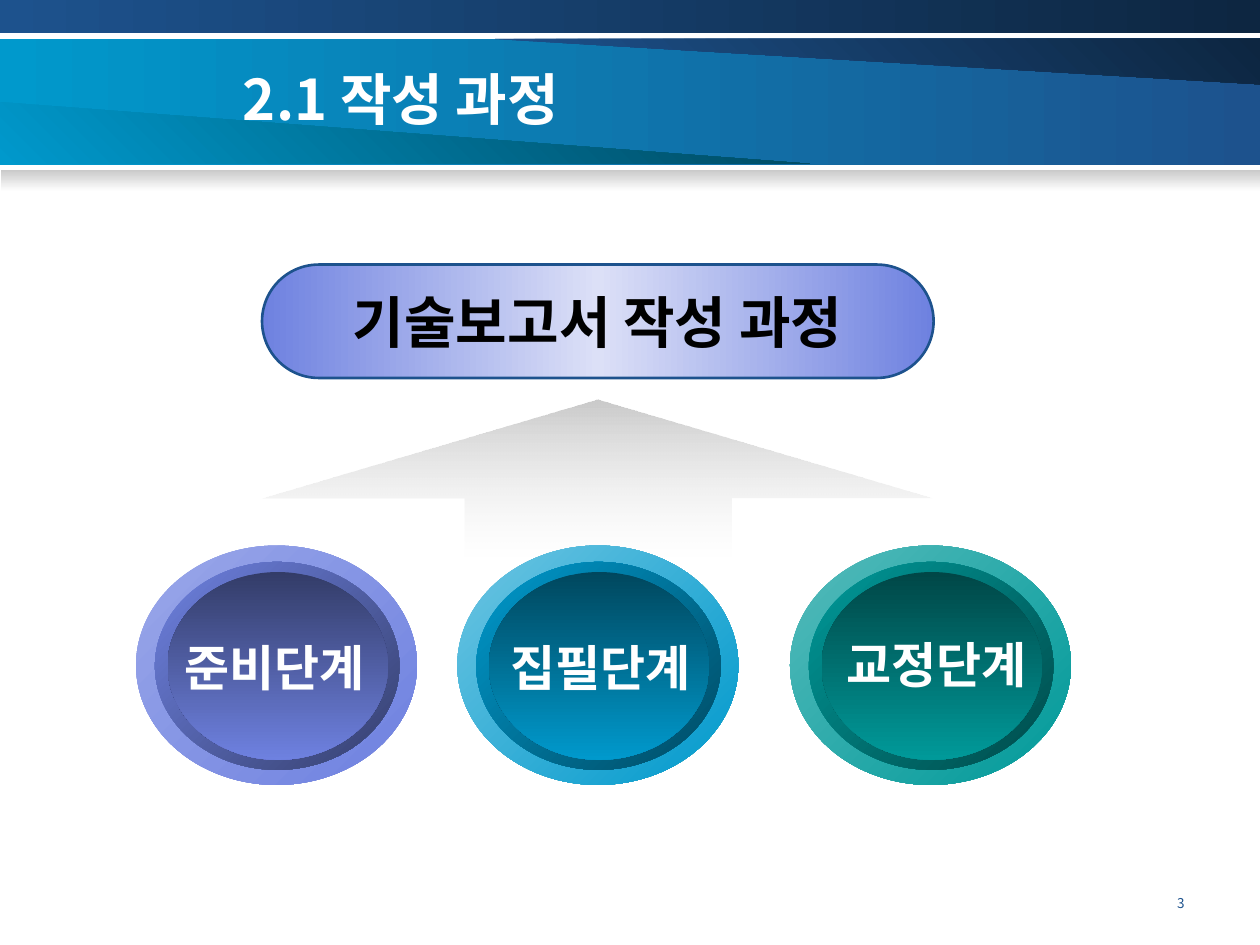
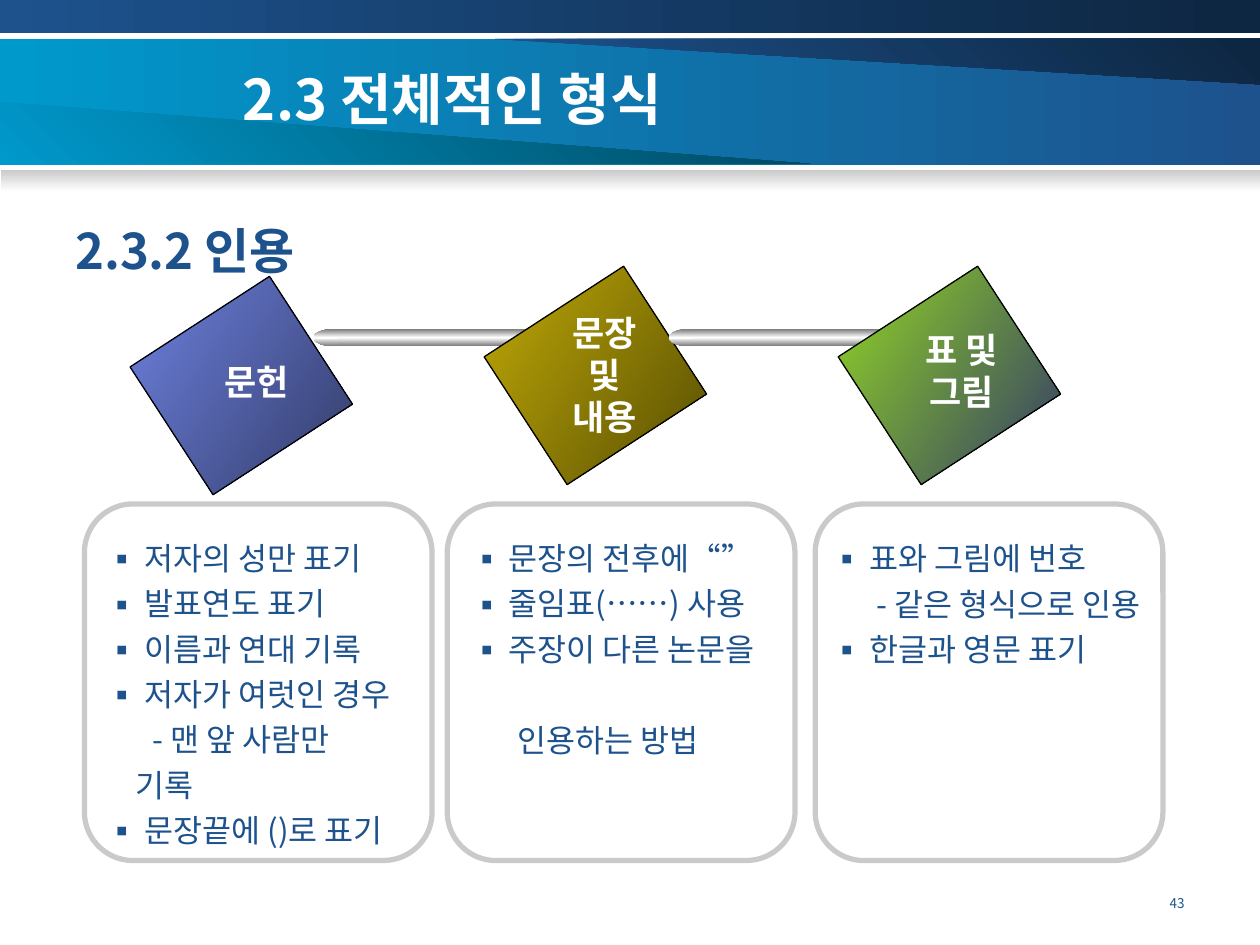
from dataclasses import dataclass
from typing import NamedTuple

from lxml.etree import SubElement as Sub
from pptx import Presentation
from pptx.dml.color import RGBColor as Rgb
from pptx.enum.shapes import MSO_SHAPE as Kind
from pptx.enum.text import MSO_ANCHOR as Anchor, PP_ALIGN as Align
from pptx.oxml.ns import qn
from pptx.util import Inches, Pt


@dataclass(frozen=True)
class Theme:
    face: str = "Noto Sans CJK KR"
    white: str = "FFFFFF"
    black: str = "000000"
    navy: str = "1D528D"
    night: str = "0D2641"
    sky: str = "0099CC"
    deep: str = "00475E"
    grey: str = "CACACA"
    pale: str = "EDEDED"
    steel: str = "767676"
    iris: str = "6E81E0"
    dusk: str = "333C68"
    mist: str = "DCE0F7"
    title: float = 32
    head: float = 28
    label: float = 20
    body: float = 18
    page: float = 7.7


T = Theme()


class Box(NamedTuple):
    x: float
    y: float
    w: float
    h: float

    def emu(self) -> list:
        return [Inches(v) for v in self]


class Fade(NamedTuple):
    """Evenly spaced colour stops and a clockwise angle."""
    stops: tuple
    angle: int
    clear: bool = False  # last stop fully transparent


class Style(NamedTuple):
    size: float
    color: str
    bold: bool = True
    align: Align = Align.LEFT
    space: float = 1.0


class Stage(NamedTuple):
    x: float
    light: str
    base: str
    dark: str
    deep: str
    text: str
    spot: Box


class Topic(NamedTuple):
    tile: Box
    fade: Fade
    label: str
    spot: Box
    card: float
    notes: Box
    items: tuple


class Item(NamedTuple):
    text: str
    sub: bool = False
    first: float = 0.0  # first-line indent of a sub item
    gap: float = 0.0


# Drawing helpers
def paint(shape, fade: Fade) -> None:
    shape.fill.gradient()
    grad = shape._element.spPr.find(qn("a:gradFill"))
    grad.set("rotWithShape", "0")
    stops = grad.find(qn("a:gsLst"))
    for old in list(stops):
        stops.remove(old)
    last = len(fade.stops) - 1
    for i, color in enumerate(fade.stops):
        stop = Sub(stops, qn("a:gs"), pos=str(100000 * i // last))
        tint = Sub(stop, qn("a:srgbClr"), val=color)
        if fade.clear and i == last:
            Sub(tint, qn("a:alpha"), val="0")
    grad.find(qn("a:lin")).set("ang", str(fade.angle * 60000))


def finish(shape, fade: Fade | None, edge: str = "", width: float = 0):
    shape.shadow.inherit = False
    if fade:
        paint(shape, fade)
    else:
        shape.fill.background()
    if edge:
        shape.line.color.rgb = Rgb.from_string(edge)
        shape.line.width = Pt(width)
    else:
        shape.line.fill.background()
    return shape


def block(slide, kind: Kind, box: Box, fade: Fade | None,
          edge: str = "", width: float = 0, adjust: tuple = ()):
    shape = slide.shapes.add_shape(kind, *box.emu())
    for i, value in enumerate(adjust):
        shape.adjustments[i] = value
    return finish(shape, fade, edge, width)


def wedge(slide, points: tuple, fade: Fade) -> None:
    start, *rest = [(Inches(x), Inches(y)) for x, y in points]
    pen = slide.shapes.build_freeform(*start)
    pen.add_line_segments(rest, close=True)
    finish(pen.convert_to_shape(), fade)


def write(par, text: str, style: Style) -> None:
    par.text = text
    form = {"alignment": style.align, "line_spacing": style.space}
    for key, value in form.items():
        setattr(par, key, value)
    look = {"size": Pt(style.size), "bold": style.bold, "name": T.face}
    for run in par.runs:
        for key, value in look.items():
            setattr(run.font, key, value)
        run.font.color.rgb = Rgb.from_string(style.color)
        latin = run._r.rPr.find(qn("a:latin"))
        east = Sub(run._r.rPr, qn("a:ea"), typeface=T.face)
        latin.addnext(east)


def fill_text(shape, lines: tuple, style: Style,
              anchor: Anchor = Anchor.TOP, wrap: bool = True) -> None:
    frame = shape.text_frame
    frame.word_wrap = wrap
    frame.vertical_anchor = anchor
    for i, line in enumerate(lines):
        par = frame.add_paragraph() if i else frame.paragraphs[0]
        write(par, line, style)


def note(slide, box: Box, text: str, style: Style,
         anchor: Anchor = Anchor.TOP, wrap: bool = True) -> None:
    shape = slide.shapes.add_textbox(*box.emu())
    fill_text(shape, tuple(text.split("\n")), style, anchor, wrap)


def bullets(slide, box: Box, items: tuple) -> None:
    frame = slide.shapes.add_textbox(*box.emu()).text_frame
    frame.word_wrap = True
    style = Style(T.body, T.navy, bold=False, space=1.2)
    for i, item in enumerate(items):
        par = frame.add_paragraph() if i else frame.paragraphs[0]
        props = par._p.get_or_add_pPr()
        left, first = (0.23, item.first) if item.sub else (0.3, -0.3)
        props.set("marL", str(Inches(left)))
        props.set("indent", str(Inches(first)))
        if item.sub:
            Sub(props, qn("a:buNone"))
        else:
            tint = Sub(props, qn("a:buClr"))
            Sub(tint, qn("a:srgbClr"), val=T.navy)
            Sub(props, qn("a:buFont"), typeface=T.face)
            Sub(props, qn("a:buChar"), char="▪")
        write(par, item.text, style)
        if item.gap:
            par.space_before = Pt(item.gap)


# Shared frame: bands, title and page number
def frame_slide(deck, title: str, page: str):
    slide = deck.slides.add_slide(deck.slide_layouts[6])
    night = (T.navy, T.night)
    block(slide, Kind.RECTANGLE, Box(0, 0.31, 10, 1), Fade((T.sky, T.navy), 0))
    wedge(slide, ((3.93, 0.31), (10, 0.67), (10, 0.31)), Fade(night, 315))
    wedge(slide, ((0, 0.81), (6.43, 1.3), (0, 1.3)),
          Fade((T.sky, T.deep), 315))
    block(slide, Kind.RECTANGLE, Box(0, 0, 10, 0.26), Fade(night, 0))
    block(slide, Kind.RECTANGLE, Box(0.01, 1.35, 9.99, 0.17),
          Fade((T.grey, T.white), 90))
    note(slide, Box(1.83, 0.3, 7.25, 0.95), title,
         Style(T.title, T.white), Anchor.MIDDLE)
    note(slide, Box(7.17, 7.08, 2.33, 0.27), page,
         Style(T.page, T.navy, False, Align.RIGHT, 0.8))
    return slide


# Writing process: three stages lead up to the report
STAGES = (
    Stage(3.63, "6DC5E2", T.sky, "004A63", T.deep, "집필단계",
          Box(3.89, 5.01, 1.76, 0.57)),
    Stage(6.27, "55BBBB", "009999", "004A4A", "004747", "교정단계",
          Box(6.55, 4.99, 1.76, 0.57)),
    Stage(1.08, "9AA7E9", T.iris, "353F6D", T.dusk, "준비단계",
          Box(1.3, 5.01, 1.76, 0.57)),
)


def draw_stage(slide, stage: Stage) -> None:
    x = stage.x
    discs = (
        (Box(x, 4.33, 2.23, 1.9), Fade((stage.light, stage.base), 45)),
        (Box(x + 0.15, 4.46, 1.94, 1.65), Fade((stage.base, stage.dark), 45)),
        (Box(x + 0.25, 4.54, 1.75, 1.49), Fade((stage.deep, stage.base), 90)),
    )
    for box, fade in discs:
        block(slide, Kind.OVAL, box, fade)
    note(slide, stage.spot, stage.text,
         Style(T.head, T.white, align=Align.CENTER))


def process(deck) -> None:
    slide = frame_slide(deck, "2.1 작성 과정", "3")
    block(slide, Kind.UP_ARROW, Box(2.08, 3.17, 5.33, 1.25),
          Fade((T.grey, T.pale), 90, True), adjust=(0.398, 0.628))
    for stage in STAGES:
        draw_stage(slide, stage)
    goal = block(slide, Kind.ROUNDED_RECTANGLE, Box(2.08, 2.1, 5.33, 0.9),
                 Fade((T.iris, T.mist, T.iris), 0), T.navy, 1.5, (0.5,))
    fill_text(goal, ("기술보고서 작성 과정",),
              Style(T.title, T.black, align=Align.CENTER),
              Anchor.MIDDLE, False)


# Citing: three linked tiles, each over a card of notes
TOPICS = (
    Topic(Box(1.31, 2.4, 1.21, 1.32), Fade((T.iris, T.dusk), 33),
          "문헌", Box(1.67, 2.81, 0.74, 0.44), 0.67,
          Box(0.75, 4.17, 2.6, 2.26),
          (Item("저자의 성만 표기"), Item("발표연도 표기"),
           Item("이름과 연대 기록"), Item("저자가 여럿인 경우"),
           Item("- 맨 앞 사람만\v기록", True, 0.13),
           Item("문장끝에 ()로 표기"))),
    Topic(Box(4.12, 2.32, 1.21, 1.32), Fade(("BFA907", "584E03"), 33),
          "문장\n및\n내용", Box(4.43, 2.42, 0.74, 1.1), 3.55,
          Box(3.64, 4.17, 2.6, 1.9),
          (Item("문장의 전후에“”"), Item("줄임표(……) 사용"),
           Item("주장이 다른 논문을"),
           Item("인용하는 방법", True, 0.14, 26))),
    Topic(Box(6.93, 2.32, 1.21, 1.32), Fade(("92D624", T.dusk), 33),
          "표 및\n그림", Box(7.22, 2.56, 0.82, 0.77), 6.47,
          Box(6.5, 4.17, 2.8, 1.18),
          (Item("표와 그림에 번호"),
           Item("- 같은 형식으로 인용", True, 0.13),
           Item("한글과 영문 표기"))),
)


def draw_pipe(slide, x: float) -> None:
    metal = Fade((T.steel, T.white, T.steel), 90)
    block(slide, Kind.OVAL, Box(x, 2.61, 0.33, 0.14), metal)
    block(slide, Kind.RECTANGLE, Box(x + 0.19, 2.61, 1.63, 0.14), metal)


def citing(deck) -> None:
    slide = frame_slide(deck, "2.3 전체적인 형식", "43")
    note(slide, Box(0.5, 1.61, 9, 0.7), "2.3.2 인용",
         Style(T.head, T.navy, space=1.2))
    for i, topic in enumerate(TOPICS):
        block(slide, Kind.ROUNDED_RECTANGLE, Box(topic.card, 4, 2.76, 2.83),
              None, T.grey, 3, (0.14,))
        if i:
            draw_pipe(slide, 2.49 + 2.82 * (i - 1))
        tile = block(slide, Kind.RECTANGLE, topic.tile, topic.fade, T.black, 0.75)
        tile.rotation = 57
    for topic in TOPICS:
        note(slide, topic.spot, topic.label,
             Style(T.label, T.white, align=Align.CENTER), wrap=False)
        bullets(slide, topic.notes, topic.items)


def main() -> None:
    deck = Presentation()
    deck.slide_width, deck.slide_height = Inches(10), Inches(7.5)
    process(deck)
    citing(deck)
    deck.save("out.pptx")


if __name__ == "__main__":
    main()
